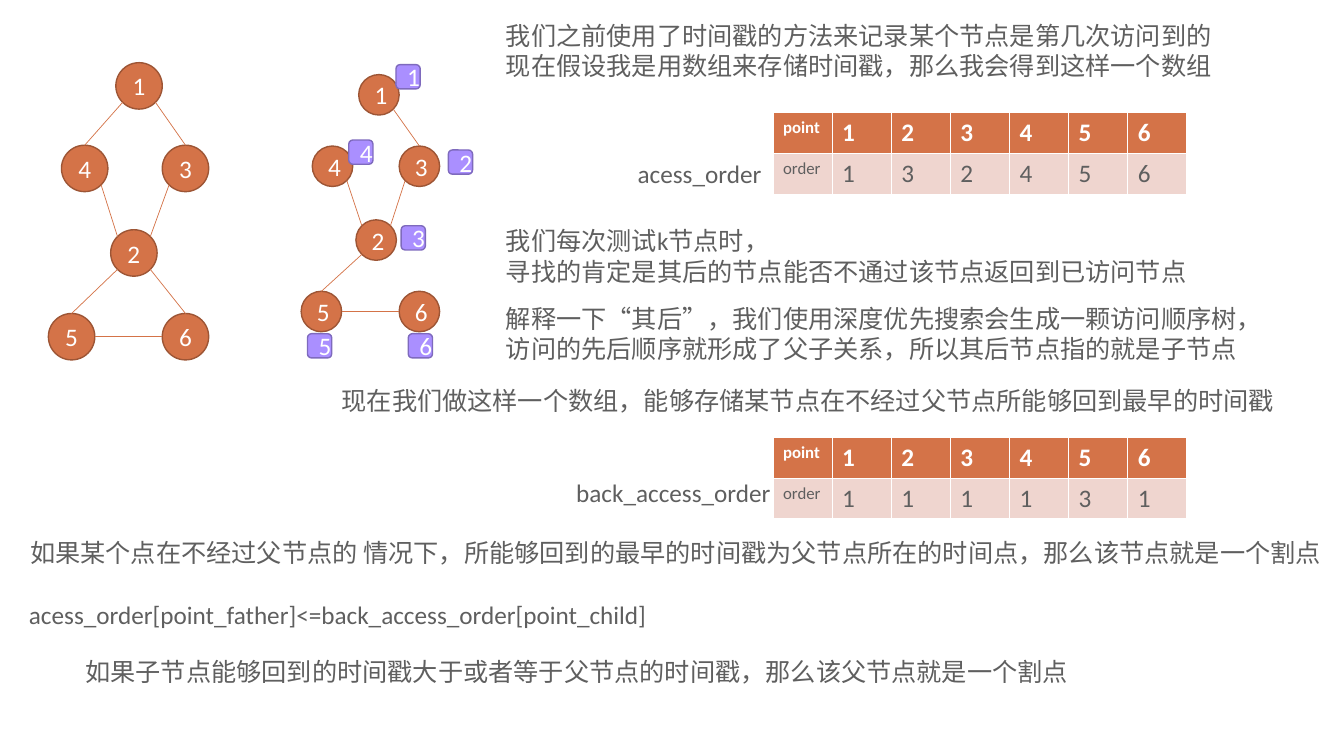
from dataclasses import dataclass
from math import cos, radians, sin

from lxml.etree import SubElement
from pptx import Presentation
from pptx.dml.color import RGBColor
from pptx.enum.shapes import MSO_CONNECTOR, MSO_SHAPE
from pptx.enum.text import MSO_ANCHOR, MSO_AUTO_SIZE, PP_ALIGN
from pptx.oxml.ns import qn
from pptx.util import Cm, Pt


@dataclass(frozen=True)
class Theme:
    font: str = "Calibri"
    body: int = 18
    small: int = 12
    text: str = "5F5F5F"
    white: str = "FFFFFF"
    node: str = "D47348"
    node_line: str = "9D5535"
    badge: str = "AA8FFF"
    badge_line: str = "7E6ABD"
    row: str = "EFD5CF"


THEME = Theme()

# Angles, clockwise from the right, at which an edge meets a node
RIGHT, LOWER_RIGHT, LOWER_LEFT, LEFT, UPPER_LEFT, TOP, UPPER_RIGHT = 0, 45, 135, 180, 225, 270, 315

EDGES = {
    (1, 4): (LOWER_LEFT, TOP),
    (1, 3): (LOWER_RIGHT, TOP),
    (4, 2): (LOWER_RIGHT, UPPER_LEFT),
    (3, 2): (LOWER_LEFT, UPPER_RIGHT),
    (2, 5): (LOWER_LEFT, TOP),
    (2, 6): (LOWER_RIGHT, TOP),
    (5, 6): (RIGHT, LEFT),
}
TREE_EDGES = [edge for edge in EDGES if edge not in ((1, 4), (2, 6))]

# Upper left corners in cm
GRAPH_NODES = {1: (2.92, 1.58), 4: (1.55, 3.66), 3: (4.09, 3.66),
               2: (2.79, 5.79), 5: (1.22, 7.9), 6: (4.09, 7.9)}
TREE_NODES = {1: (9.04, 1.88), 4: (7.87, 3.68), 3: (10.06, 3.68),
              2: (8.97, 5.54), 5: (7.59, 7.34), 6: (10.06, 7.34)}
TIME_STAMPS = {1: (9.98, 1.63), 6: (10.29, 8.41), 2: (11.3, 3.78),
               4: (8.79, 3.53), 3: (10.11, 5.69), 5: (7.75, 8.41)}

# Left, top, width in cm, then the lines
TEXTS = [
    (12.5, 0.38, 18.47, ["我们之前使用了时间戳的方法来记录某个节点是第几次访问到的",
                         "现在假设我是用数组来存储时间戳，那么我会得到这样一个数组"]),
    (12.5, 5.56, 17.83, ["我们每次测试k节点时，",
                         "寻找的肯定是其后的节点能否不通过该节点返回到已访问节点"]),
    (12.5, 7.52, 19.76, ["解释一下“其后”，我们使用深度优先搜索会生成一颗访问顺序树，",
                         "访问的先后顺序就形成了父子关系，所以其后节点指的就是子节点"]),
    (8.36, 9.58, 24.23, ["现在我们做这样一个数组，能够存储某节点在不经过父节点所能够回到最早的时间戳"]),
    (0.51, 13.41, 33.35, ["如果某个点在不经过父节点的 情况下，所能够回到的最早的时间戳为父节点所在的时间点，"
                          "那么该节点就是一个割点"]),
    (14.27, 11.91, 5.46, ["back_access_order"]),
    (15.82, 3.86, 3.66, ["acess_order"]),
    (0.48, 14.99, 16.26, ["acess_order[point_father]<=back_access_order[point_child]"]),
    (1.9, 16.41, 25.53, ["如果子节点能够回到的时间戳大于或者等于父节点的时间戳，那么该父节点就是一个割点"]),
]


def rgb(color):
    return RGBColor.from_string(color)


def add_run(p, text, color, size=THEME.body, bold=False):
    r = p.add_run()
    r.text = text
    r.font.name = THEME.font
    r.font.size = Pt(size)
    r.font.bold = bold
    r.font.color.rgb = rgb(color)


def add_marker(shapes, kind, corner, size, label, fill, line):
    """Add a numbered node or badge."""
    sp = shapes.add_shape(kind, Cm(corner[0]), Cm(corner[1]), Cm(size), Cm(size))
    sp.shadow.inherit = False
    sp.fill.solid()
    sp.fill.fore_color.rgb = rgb(fill)
    sp.line.color.rgb = rgb(line)
    sp.line.width = Pt(1)
    tf = sp.text_frame
    tf.vertical_anchor = MSO_ANCHOR.MIDDLE
    p = tf.paragraphs[0]
    p.alignment = PP_ALIGN.CENTER
    add_run(p, str(label), THEME.white)


def rim_point(corner, size, angle):
    radius = size / 2
    return (Cm(corner[0] + radius * (1 + cos(radians(angle)))),
            Cm(corner[1] + radius * (1 + sin(radians(angle)))))


def add_edge(shapes, start, end):
    cx = shapes.add_connector(MSO_CONNECTOR.STRAIGHT, *start, *end)
    cx.line.color.rgb = rgb(THEME.node)
    cx.line.width = Pt(0.5)
    SubElement(cx._element.spPr, qn("a:effectLst"))


def add_graph(s, nodes, size, edges):
    """Add a grouped graph and return the shapes of its group."""
    shapes = s.shapes.add_group_shape().shapes
    for label, corner in nodes.items():
        add_marker(shapes, MSO_SHAPE.OVAL, corner, size, label, THEME.node, THEME.node_line)
    for edge in edges:
        ends = [rim_point(nodes[label], size, angle) for label, angle in zip(edge, EDGES[edge])]
        add_edge(shapes, *ends)
    return shapes


def add_text(s, left, top, width, lines):
    height = 1.02 if len(lines) == 1 else 1.8
    tf = s.shapes.add_textbox(Cm(left), Cm(top), Cm(width), Cm(height)).text_frame
    tf.word_wrap = False
    tf.auto_size = MSO_AUTO_SIZE.SHAPE_TO_FIT_TEXT
    for i, line in enumerate(lines):
        p = tf.add_paragraph() if i else tf.paragraphs[0]
        add_run(p, line, THEME.text)


def add_order_table(s, top, orders):
    rows = [["point", *range(1, 7)], ["order", *orders]]
    columns = len(rows[0])
    table = s.shapes.add_table(len(rows), columns, Cm(19.48), Cm(top),
                               Cm(1.49 * columns), Cm(1.03 * len(rows))).table
    table.horz_banding = False
    for i, row in enumerate(rows):
        header = i == 0
        for j, value in enumerate(row):
            cell = table.cell(i, j)
            cell.fill.solid()
            cell.fill.fore_color.rgb = rgb(THEME.node if header else THEME.row)
            add_run(cell.text_frame.paragraphs[0], str(value),
                    THEME.white if header else THEME.text,
                    THEME.body if j else THEME.small, header)


def main():
    prs = Presentation()
    prs.slide_width, prs.slide_height = Cm(33.87), Cm(19.05)
    s = prs.slides.add_slide(prs.slide_layouts[6])
    add_graph(s, GRAPH_NODES, 1.17, EDGES)
    tree = add_graph(s, TREE_NODES, 1.02, TREE_EDGES)
    for stamp, corner in TIME_STAMPS.items():
        add_marker(tree, MSO_SHAPE.ROUNDED_RECTANGLE, corner, 0.61, stamp,
                   THEME.badge, THEME.badge_line)
    add_order_table(s, 2.84, [1, 3, 2, 4, 5, 6])
    add_order_table(s, 11.02, [1, 1, 1, 1, 3, 1])
    for text in TEXTS:
        add_text(s, *text)
    prs.save("out.pptx")


if __name__ == "__main__":
    main()
